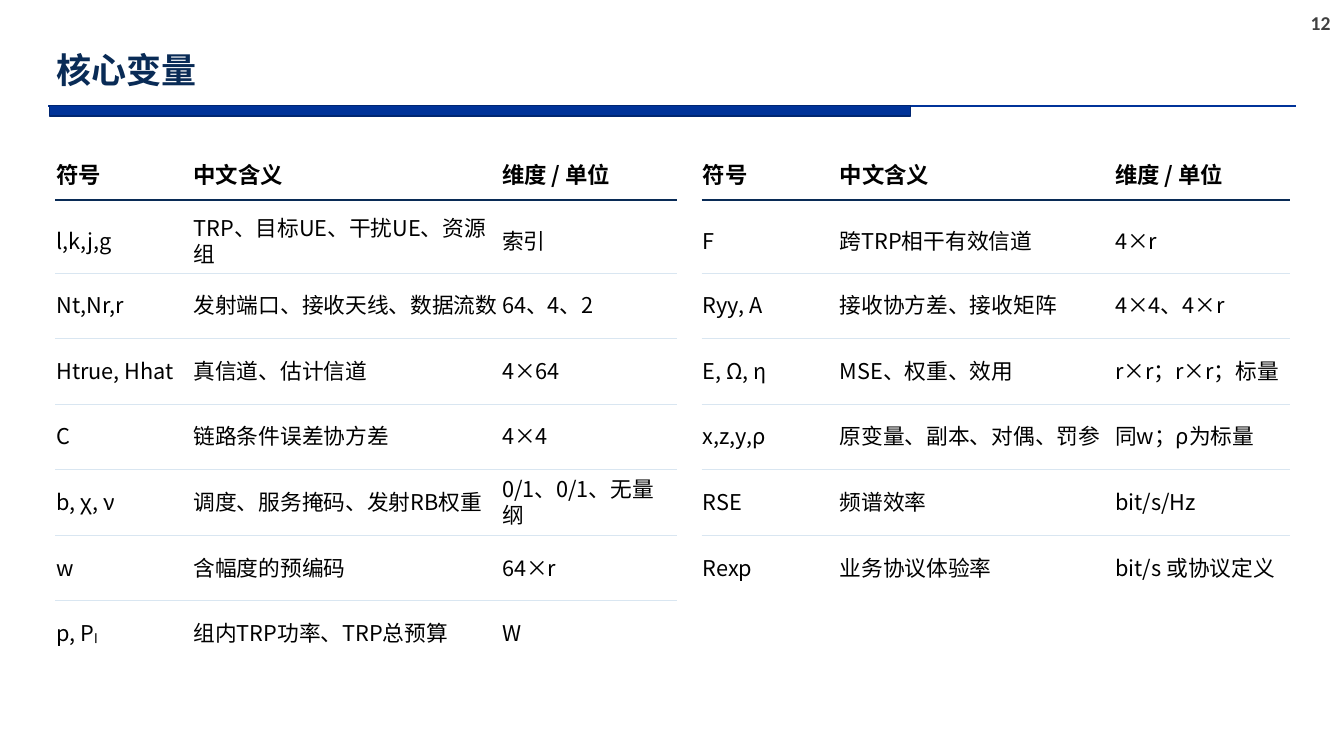
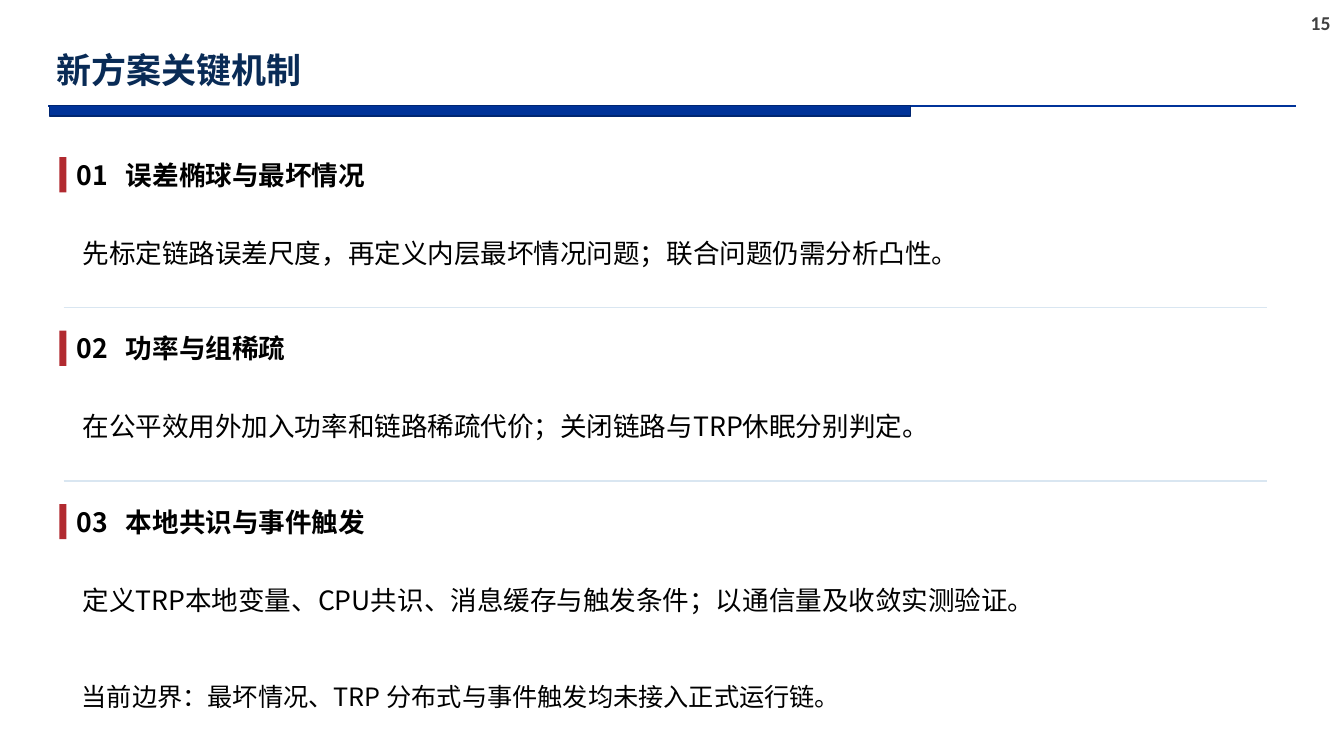
from lxml import etree
from pptx import Presentation
from pptx import util as u
from pptx.dml import color
from pptx.enum import shapes, text
from pptx.oxml import ns

PX = 9144  # 100 px to the inch
SANS = "Noto Sans CJK SC"
PLAIN = "{2D5ABB26-0587-4C30-8999-92F81FD0307C}"  # table style without grid
HUES = {
    "navy": "092B56", "blue": "003399", "edge": "002671", "red": "B12A30",
    "pale": "D9E6F1", "gray": "404040", "ink": "000000",
}

HEAD = ("符号", "中文含义", "维度 / 单位")
LEFT = [
    ("l,k,j,g", "TRP、目标UE、干扰UE、资源组", "索引"),
    ("Nt,Nr,r", "发射端口、接收天线、数据流数", "64、4、2"),
    ("Htrue, Hhat", "真信道、估计信道", "4×64"),
    ("C", "链路条件误差协方差", "4×4"),
    ("b, χ, ν", "调度、服务掩码、发射RB权重", "0/1、0/1、无量纲"),
    ("w", "含幅度的预编码", "64×r"),
    ("p, Pₗ", "组内TRP功率、TRP总预算", "W"),
]
RIGHT = [
    ("F", "跨TRP相干有效信道", "4×r"),
    ("Ryy, A", "接收协方差、接收矩阵", "4×4、4×r"),
    ("E, Ω, η", "MSE、权重、效用", "r×r；r×r；标量"),
    ("x,z,y,ρ", "原变量、副本、对偶、罚参", "同w；ρ为标量"),
    ("RSE", "频谱效率", "bit/s/Hz"),
    ("Rexp", "业务协议体验率", "bit/s 或协议定义"),
]
STEPS = [
    ("误差椭球与最坏情况",
     "先标定链路误差尺度，再定义内层最坏情况问题；联合问题仍需分析凸性。"),
    ("功率与组稀疏",
     "在公平效用外加入功率和链路稀疏代价；关闭链路与TRP休眠分别判定。"),
    ("本地共识与事件触发",
     "定义TRP本地变量、CPU共识、消息缓存与触发条件；以通信量及收敛实测验证。"),
]
NOTE = "当前边界：最坏情况、TRP 分布式与事件触发均未接入正式运行链。"


def px(*vals):
    return [u.Emu(v * PX) for v in vals]


def rgb(hue):
    return color.RGBColor.from_string(HUES[hue])


def style(para, size, hue="ink", bold=False, face=SANS):
    font = para.font
    font.size, font.bold, font.name = u.Pt(size), bold, face
    font.color.rgb = rgb(hue)
    props = para._p.find(".//" + ns.qn("a:defRPr"))
    etree.SubElement(props, ns.qn("a:ea")).set("typeface", face)


def label(slide, box, words, size, pad=1, tab=None, **look):
    frame = slide.shapes.add_textbox(*px(*box)).text_frame
    frame.word_wrap = True
    frame.vertical_anchor = text.MSO_ANCHOR.MIDDLE
    frame.margin_left = frame.margin_right = u.Emu(pad * PX)
    frame.margin_top = frame.margin_bottom = u.Emu(PX)
    para = frame.paragraphs[0]
    para.text = words
    if tab:
        stops = etree.SubElement(para._p.get_or_add_pPr(), ns.qn("a:tabLst"))
        stop = etree.SubElement(stops, ns.qn("a:tab"))
        stop.set("pos", str(tab * PX))
        stop.set("algn", "l")
    style(para, size, **look)
    return para


def block(slide, box, fill, edge=None):
    shape = slide.shapes.add_shape(shapes.MSO_SHAPE.RECTANGLE, *px(*box))
    shape.shadow.inherit = False
    shape.fill.solid()
    shape.fill.fore_color.rgb = rgb(fill)
    if edge:
        shape.line.color.rgb = rgb(edge)
        shape.line.width = u.Pt(1)
    else:
        shape.line.fill.background()


def rule(slide, left, right, y, hue, width):
    line = slide.shapes.add_connector(
        shapes.MSO_CONNECTOR.STRAIGHT, *px(left, y, right, y))
    line.line.color.rgb = rgb(hue)
    line.line.width = u.Pt(width)
    etree.SubElement(line._element.spPr, ns.qn("a:effectLst"))


def base(deck, title, page):
    """Blank slide with title, band and page number."""
    slide = deck.slides.add_slide(deck.slide_layouts[6])
    rule(slide, 48, 1285, 105, "blue", 1.5)
    block(slide, (49, 105, 854, 10), "blue", "edge")
    label(slide, (1300, 6, 33, 34), str(page), 14, pad=0,
          hue="gray", bold=True, face="Calibri")
    para = label(slide, (46, 39, 945, 65), title, 25, pad=10,
                 hue="navy", bold=True)
    para.line_spacing = 0.9
    return slide


def grid(slide, left, top, cols, rows):
    """Table of symbols: ruled header, thin lines between rows."""
    highs = [46, 73] + [65] * (len(rows) - 1)
    wide = sum(cols)
    table = slide.shapes.add_table(
        len(highs), len(cols), *px(left, top, wide, sum(highs))).table
    table.first_row = table.horz_banding = False
    table._tbl.tblPr.find(ns.qn("a:tableStyleId")).text = PLAIN
    for col, span in zip(table.columns, cols):
        col.width = u.Emu(span * PX)
    y = top
    for i, (high, row) in enumerate(zip(highs, [HEAD] + rows)):
        table.rows[i].height = u.Emu(high * PX)
        for cell, words in zip(table.rows[i].cells, row):
            cell.fill.background()
            cell.vertical_anchor = text.MSO_ANCHOR.MIDDLE
            cell.margin_left = cell.margin_right = u.Emu(PX)
            cell.margin_top = u.Emu((10 if i == 1 else 0) * PX)
            cell.margin_bottom = u.Emu((0 if i else 6) * PX)
            para = cell.text_frame.paragraphs[0]
            para.text = words
            para.line_spacing = 0.85 if i else 1.0
            style(para, 15.5 if i else 16, bold=i == 0)
        y += high
        if i < len(rows):
            hue, width = ("pale", 0.65) if i else ("navy", 1.5)
            rule(slide, left, left + wide, y, hue, width)


def step(slide, left, top, num, head, body):
    """Numbered heading with a red mark and one line of text."""
    block(slide, (left, top + 5, 7, 35), "red")
    label(slide, (left + 16, top, 1174, 45), f"{num:02}\t{head}", 19,
          tab=49, bold=True)
    label(slide, (left + 22, top + 62, 1135, 76), body, 19)


def terms(deck):
    slide = base(deck, "核心变量", 12)
    grid(slide, 55, 152, (136, 306, 174), LEFT)
    grid(slide, 696, 152, (136, 273, 174), RIGHT)


def ideas(deck):
    slide = base(deck, "新方案关键机制", 15)
    top, pitch = 151, 172
    for i, (head, body) in enumerate(STEPS):
        y = top + i * pitch
        if i:
            rule(slide, 63, 1257, y - 18, "pale", 1.2)
        step(slide, 59, y, i + 1, head, body)
    label(slide, (80, 675, 1146, 32), NOTE, 18)


def main():
    deck = Presentation()
    deck.slide_width, deck.slide_height = px(1333, 750)
    terms(deck)
    ideas(deck)
    deck.save("out.pptx")


if __name__ == "__main__":
    main()
